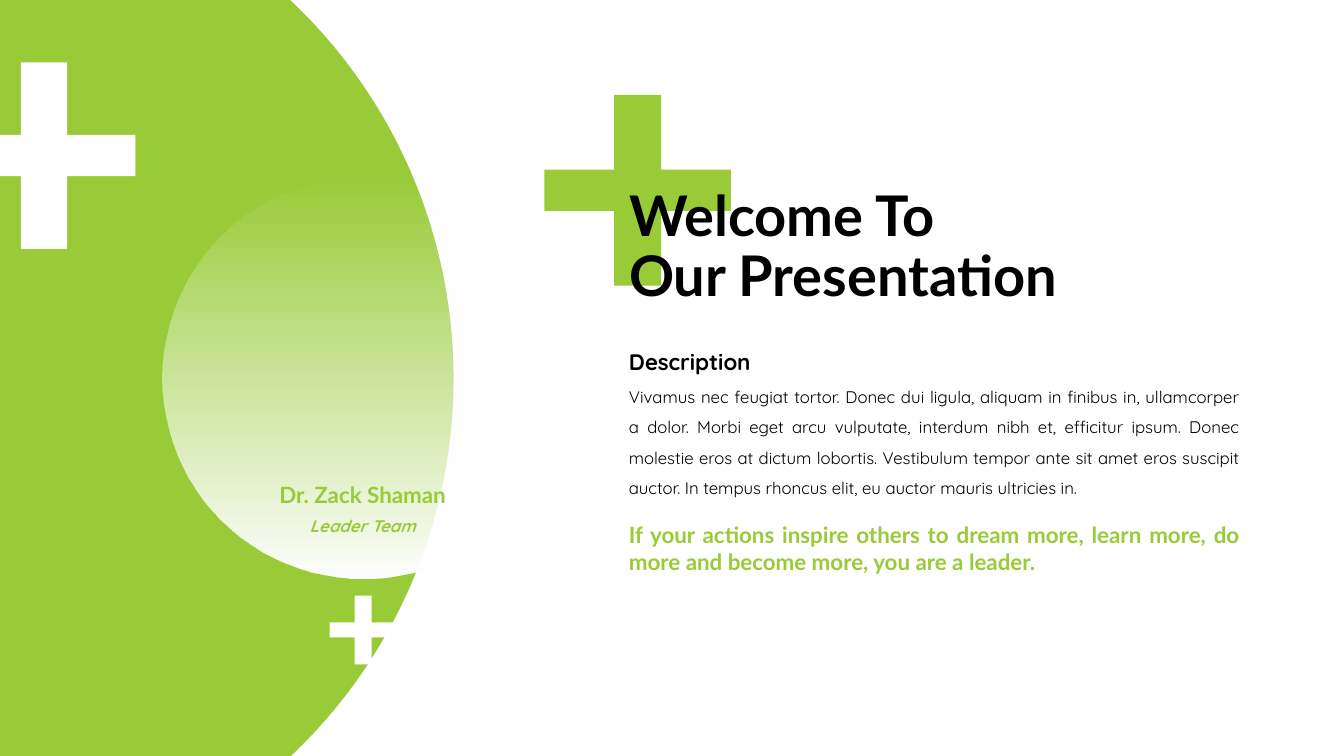
from lxml.etree import SubElement
from pptx import Presentation
from pptx.dml.color import RGBColor
from pptx.enum.shapes import MSO_SHAPE as Shape
from pptx.enum.text import MSO_ANCHOR as Anchor, PP_ALIGN as Align
from pptx.oxml.ns import qn
from pptx.util import Cm, Pt

GREEN = RGBColor(0x99, 0xCB, 0x38)
WHITE = RGBColor(0xFF, 0xFF, 0xFF)
BLACK = RGBColor(0x00, 0x00, 0x00)

# Content; all lengths in centimetres
TITLE = "Welcome To\vOur Presentation"
TEXT_LEFT, TEXT_WIDTH = 15.6, 15.9
NAME_LEFT, NAME_WIDTH = 5.89, 6.5

# text, left, top, width, height, font, size, bold, italic, colour, align, line spacing
TEXTS = [
    ("Vivamus nec feugiat tortor. Donec dui ligula, aliquam in finibus in, "
     "ullamcorper a dolor. Morbi eget arcu vulputate, interdum nibh et, "
     "efficitur ipsum. Donec molestie eros at dictum lobortis. Vestibulum "
     "tempor ante sit amet eros suscipit auctor. In tempus rhoncus elit, eu "
     "auctor mauris ultricies in.",
     TEXT_LEFT, 9.37, TEXT_WIDTH, 3.33,
     "Quicksand", 12, False, False, BLACK, Align.JUSTIFY, 1.5),
    ("If your actions inspire others to dream more, learn more, do more and "
     "become more, you are a leader.",
     TEXT_LEFT, 13.0, TEXT_WIDTH, 1.63,
     "Lato", 16, True, False, GREEN, Align.JUSTIFY, 1.0),
    ("Description", TEXT_LEFT, 8.31, 7.52, 1.14,
     "Quicksand", 16, True, False, BLACK, Align.JUSTIFY, 1.5),
    ("Dr. Zack Shaman", NAME_LEFT, 11.66, NAME_WIDTH, 1.14,
     "Lato", 16, True, False, GREEN, Align.CENTER, 1.5),
    ("Leader Team", NAME_LEFT, 12.62, NAME_WIDTH, 0.94,
     "Quicksand", 12, True, True, GREEN, Align.CENTER, 1.5),
]

prs = Presentation()
prs.slide_width, prs.slide_height = Cm(33.87), Cm(19.05)
slide = prs.slides.add_slide(prs.slide_layouts[5])
shapes = slide.shapes


def finish(shape, colour):
    shape.shadow.inherit = False
    shape.line.fill.background()
    shape.fill.solid()
    shape.fill.fore_color.rgb = colour
    return shape


def add_circle(left, top, size):
    circle = shapes.add_shape(Shape.OVAL, Cm(left), Cm(top), Cm(size), Cm(size))
    return finish(circle, GREEN)


def add_cross(left, top, width, height, upright, crossbar, colour):
    """Draw a cross with its two bars centred in the given box."""
    x1, y1 = left + (width - upright) / 2, top + (height - crossbar) / 2
    x2, y2 = x1 + upright, y1 + crossbar
    right, bottom = left + width, top + height
    corners = [(x1, top), (x2, top), (x2, y1), (right, y1), (right, y2), (x2, y2),
               (x2, bottom), (x1, bottom), (x1, y2), (left, y2), (left, y1), (x1, y1)]
    points = [(Cm(x), Cm(y)) for x, y in corners]
    outline = shapes.build_freeform(*points[0])
    outline.add_line_segments(points[1:], close=True)
    return finish(outline.convert_to_shape(), colour)


def format_paragraph(paragraph, font, size, bold, italic, colour, align, spacing):
    paragraph.alignment = align
    paragraph.line_spacing = spacing
    paragraph.font.name = font
    paragraph.font.size = Pt(size)
    paragraph.font.bold = bold
    paragraph.font.italic = italic
    paragraph.font.color.rgb = colour


# Green background disc and crosses
add_circle(-14.76, -3.56, 26.19)
title_cross = add_cross(13.72, 2.39, 4.7, 4.81, 1.19, 1.04, GREEN)
add_cross(-1.19, 1.57, 4.6, 4.7, 1.17, 1.04, WHITE)

# Title, in front of its cross
title = shapes.title
title_cross.element.addnext(title.element)
title.left, title.top, title.width, title.height = Cm(15.6), Cm(4.42), Cm(12.34), Cm(3.68)
title.text_frame.text = TITLE
title.text_frame.vertical_anchor = Anchor.MIDDLE
format_paragraph(title.text_frame.paragraphs[0],
                 "Lato", 40, True, False, BLACK, Align.LEFT, 0.9)

# Portrait circle fading from clear at the top to white
portrait = add_circle(4.09, 4.47, 10.11)
portrait.fill.gradient()
portrait.fill.gradient_angle = 270
for stop in portrait.fill.gradient_stops:
    stop.color.rgb = WHITE
clear_colour = portrait.element.spPr.find(".//" + qn("a:srgbClr"))
SubElement(clear_colour, qn("a:alpha"), val="0")

# Small cross under the portrait
add_cross(8.31, 15.01, 1.68, 1.73, 0.43, 0.38, WHITE)

# Text boxes
for text, left, top, width, height, *style in TEXTS:
    frame = shapes.add_textbox(Cm(left), Cm(top), Cm(width), Cm(height)).text_frame
    frame.word_wrap = True
    frame.text = text
    format_paragraph(frame.paragraphs[0], *style)

prs.save("out.pptx")
